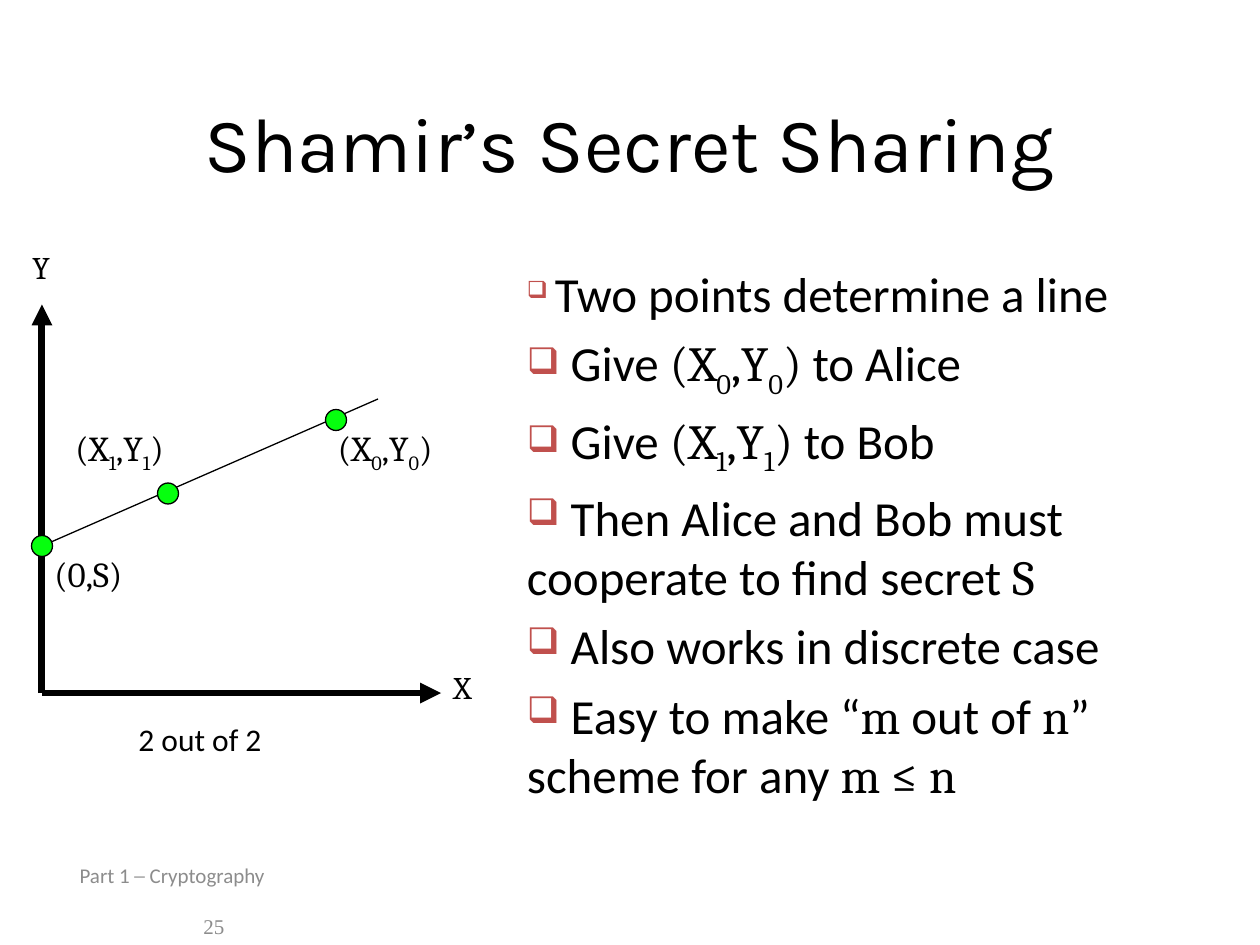
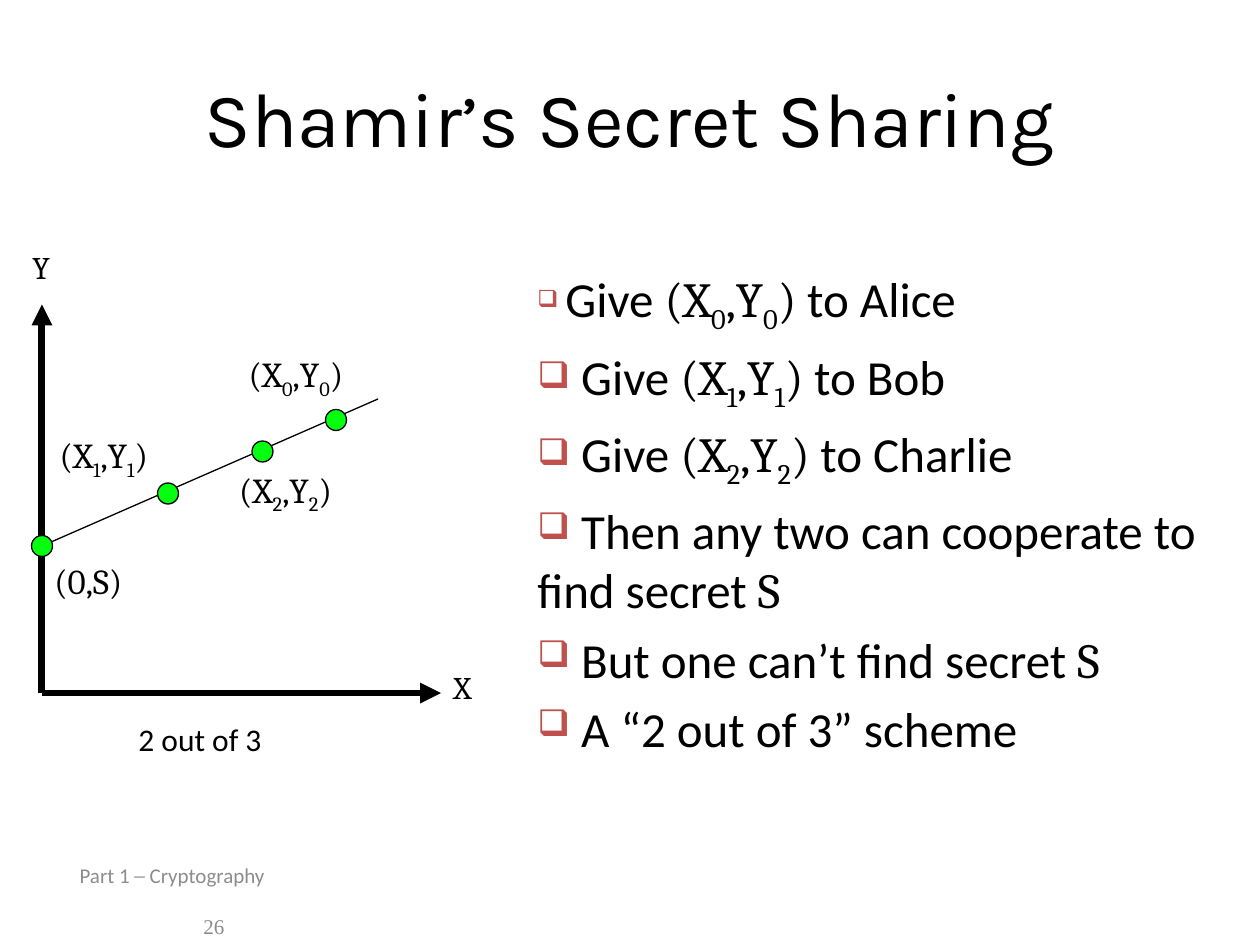
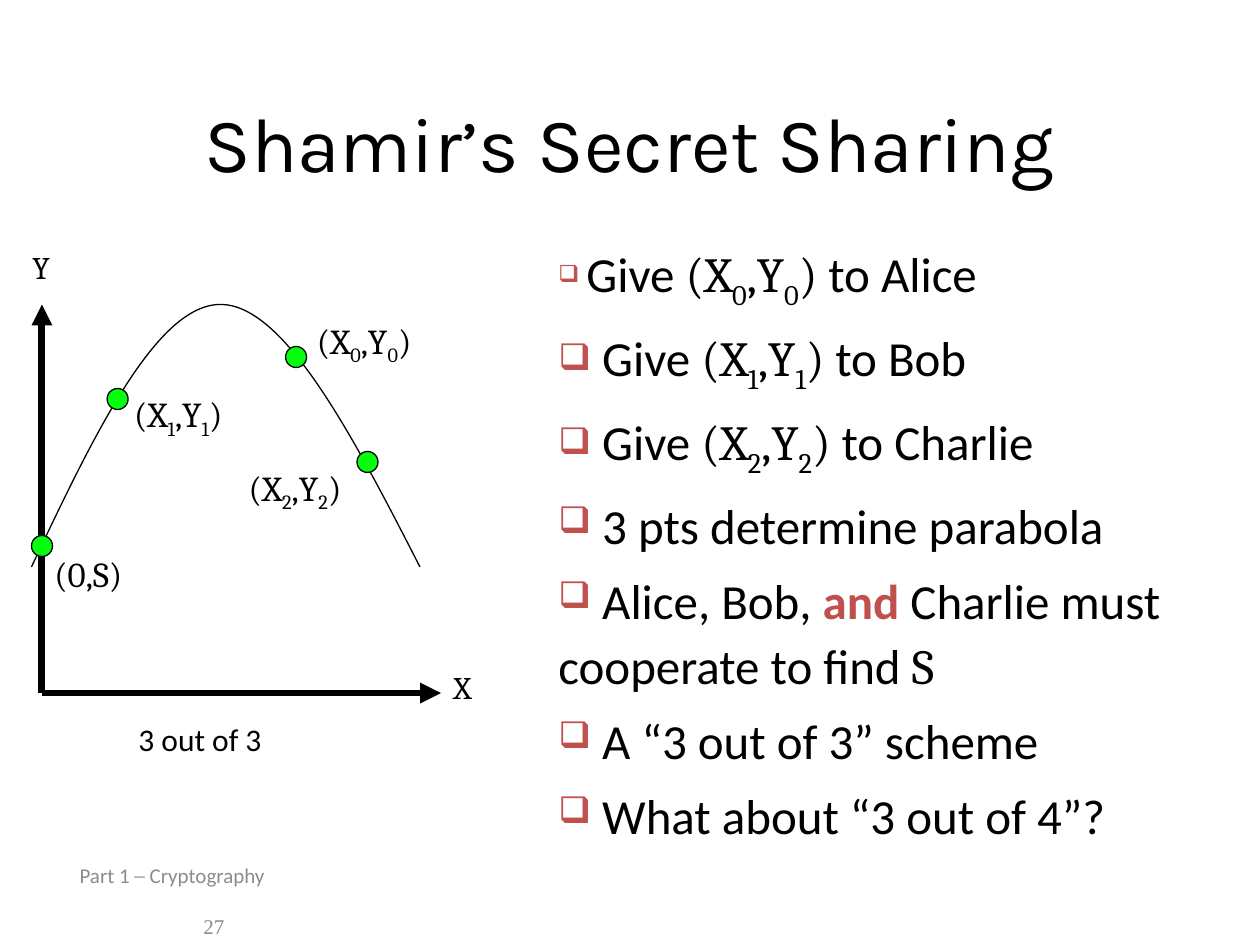
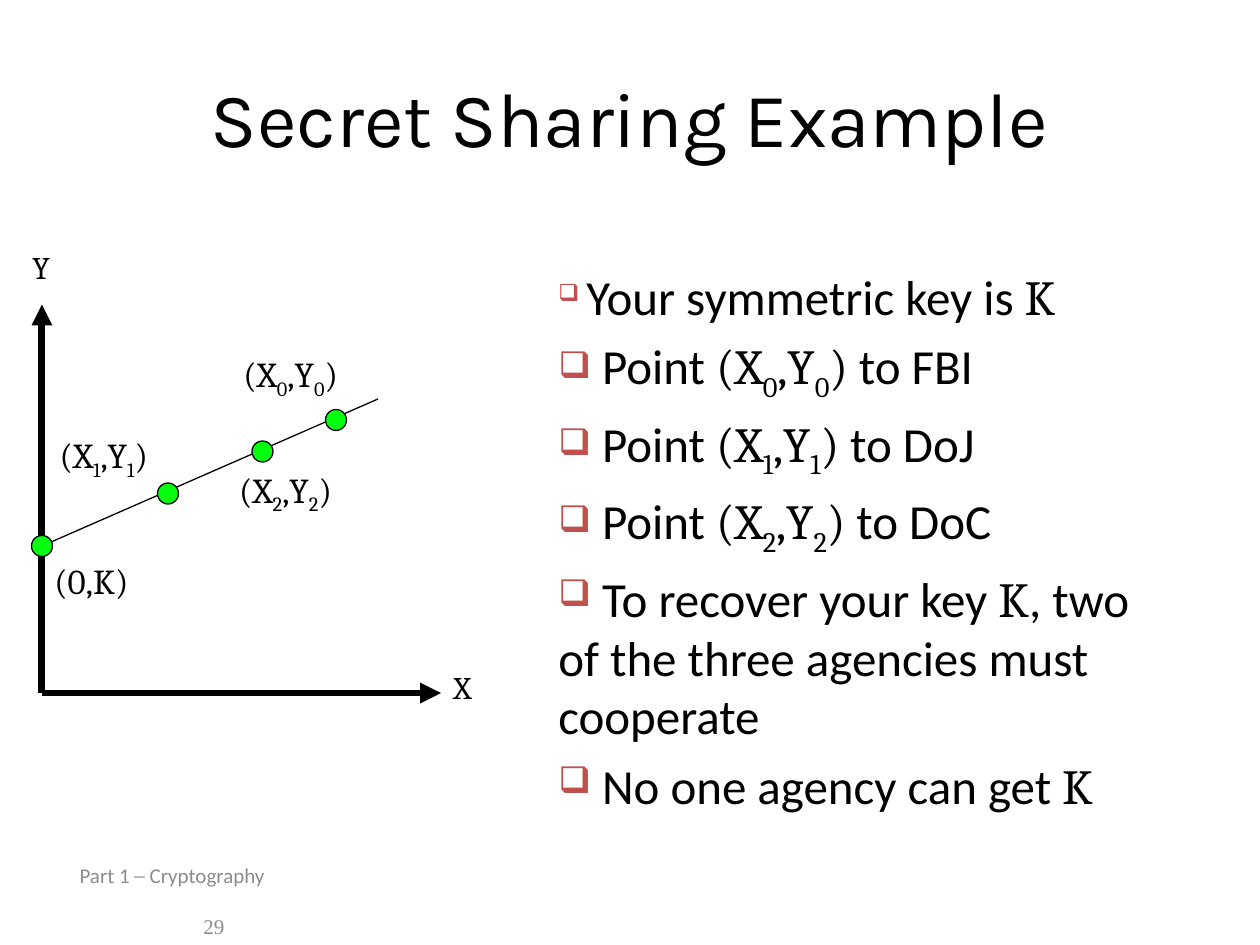
from lxml.etree import SubElement
from pptx import Presentation
from pptx.dml.color import RGBColor
from pptx.enum.shapes import MSO_CONNECTOR, MSO_SHAPE
from pptx.enum.text import MSO_ANCHOR, MSO_AUTO_SIZE, PP_ALIGN
from pptx.oxml.ns import qn
from pptx.util import Inches, Pt

COLS, ROWS = 120, 90
SLIDE_W, SLIDE_H = Inches(10), Inches(7.5)
BLACK, GREY, RED, GREEN = "000000", "8C8C8C", "C0504D", "06FF0E"
SANS, MATH, TITLE, SERIF = "Calibri", "Cambria", "Karla", "Times New Roman"

FOOTER_BOX = (6, 83.4, 28, 4.8)
PLOT_BOX = (4, 29, 38, 37)
HIGH_TITLE, LOW_TITLE = (6, 3.6, 108, 15), (9, 6, 102, 15)
DOT = 2

SECRET_DOT = (0, 14)
LINE = [(0, 14), (32, 28)]
PARABOLA = [(-1, 12), (4.9, 24.5), (10.9, 37), (17, 37),
            (23.1, 37), (29.6, 24.5), (36, 12)]
TWO_DOTS = [SECRET_DOT, (12, 19), (28, 26)]
THREE_DOTS = TWO_DOTS + [(21, 23)]
PARABOLA_DOTS = [SECRET_DOT, (7.2, 28), (24.2, 32), (31, 22)]


def x(cols):
    return round(SLIDE_W * cols / COLS)


def y(rows):
    return round(SLIDE_H * rows / ROWS)


def rgb(value):
    return RGBColor.from_string(value)


def sans(text, size=28):
    return text, dict(font=SANS, size=size)


def math(text, size=28):
    return text, dict(font=MATH, size=size)


def strong(text):
    return text, dict(font=SANS, size=28, color=RED, bold=True)


def share(index, size=28):
    sub = (index, dict(font=MATH, size=size, sub=True))
    return [math("(X", size), sub, math(",Y", size), sub, math(")", size)]


def handout(verb, index, person):
    return [sans(f" {verb} "), *share(index), math(" "), sans(f"to {person}")]


def first(*runs):
    head, *rest = runs
    return [sans(" ", 18), (head[0].lstrip(), head[1]), *rest]


def add_run(p, text, font, size, color=BLACK, bold=False, sub=False):
    r = p.add_run()
    r.text = text
    r.font.name = font
    r.font.size = Pt(size)
    r.font.bold = bold
    r.font.color.rgb = rgb(color)
    if sub:
        r._r.get_or_add_rPr().set("baseline", "-25000")


def add_text(s, box, paragraphs, wrap=True, grow=True):
    left, top, width, height = box
    tf = s.shapes.add_textbox(x(left), y(top), x(width), y(height)).text_frame
    tf.word_wrap = wrap
    tf.auto_size = MSO_AUTO_SIZE.SHAPE_TO_FIT_TEXT if grow else MSO_AUTO_SIZE.NONE
    for i, runs in enumerate(paragraphs):
        p = tf.add_paragraph() if i else tf.paragraphs[0]
        for text, style in runs:
            add_run(p, text, **style)
    return tf


def add_bullet(p):
    pPr = p._p.get_or_add_pPr()
    pPr.set("marL", "0")
    pPr.set("indent", "0")
    SubElement(SubElement(pPr, qn("a:buClr")), qn("a:srgbClr"), val=RED)
    SubElement(pPr, qn("a:buSzPct"), val="75000")
    SubElement(pPr, qn("a:buChar"), char="❑")


def add_title(s, box, text):
    style = dict(font=TITLE, size=44)
    tf = add_text(s, box, [[(text, style)]], grow=False)
    tf.vertical_anchor = MSO_ANCHOR.MIDDLE
    tf.paragraphs[0].alignment = PP_ALIGN.CENTER


def add_footer(s, box, number):
    lines = [("Part 1 ─ Cryptography", SANS), (str(number), SERIF)]
    tf = add_text(s, box, [[(text, dict(font=font, size=12, color=GREY))]
                           for text, font in lines], grow=False)
    tf.vertical_anchor = MSO_ANCHOR.MIDDLE
    for p, indent in zip(tf.paragraphs, (0.4, 12.2)):
        p._p.get_or_add_pPr().set("marL", str(x(indent)))
    tf.paragraphs[1].space_before = Pt(14.5)


def add_body(s, box, paragraphs, spacing=None):
    tf = add_text(s, box, paragraphs)
    for p in tf.paragraphs:
        p.space_after = Pt(6)
        if spacing:
            p.line_spacing = spacing
        add_bullet(p)


def add_line(s, start, end, width, arrow=False):
    c = s.shapes.add_connector(MSO_CONNECTOR.STRAIGHT, *start, *end)
    c.line.color.rgb = rgb(BLACK)
    c.line.width = Pt(width)
    if arrow:
        SubElement(c.line._get_or_add_ln(), qn("a:tailEnd"), type="triangle")
    SubElement(c._element.spPr, qn("a:effectLst"))


def add_curve(s, points):
    fb = s.shapes.build_freeform(*points[0])
    fb.add_line_segments(points[1:], close=False)
    sp = fb.convert_to_shape()
    sp.shadow.inherit = False
    sp.fill.background()
    sp.line.color.rgb = rgb(BLACK)
    sp.line.width = Pt(0.75)
    outline = sp._element.xpath(".//a:path")[0]
    segments = outline.findall(qn("a:lnTo"))
    for i in range(0, len(segments), 3):
        bezier = SubElement(outline, qn("a:cubicBezTo"))
        for segment in segments[i:i + 3]:
            bezier.append(segment[0])
            outline.remove(segment)


def add_dot(s, centre):
    cx, cy = centre
    sp = s.shapes.add_shape(MSO_SHAPE.OVAL, cx - x(DOT / 2), cy - y(DOT / 2),
                            x(DOT), y(DOT))
    sp.shadow.inherit = False
    sp.fill.solid()
    sp.fill.fore_color.rgb = rgb(GREEN)
    sp.line.color.rgb = rgb(BLACK)
    sp.line.width = Pt(0.75)


def add_plot(s, box, curve, dots, secret, labels, caption):
    left, top, width, height = box

    def at(point):
        return x(left + point[0]), y(top + height - point[1])

    def add_label(point, size, runs):
        add_text(s, (left + point[0], top + height - point[1], *size),
                 [runs], wrap=False)

    for end in ((width, 0), (0, height)):
        add_line(s, at((0, 0)), at(end), 4, arrow=True)
    if len(curve) == 2:
        add_line(s, at(curve[0]), at(curve[1]), 0.75)
    else:
        add_curve(s, [at(point) for point in curve])
    for dot in dots:
        add_dot(s, at(dot))

    add_label((width, 3), (5, 6), [math("X", 18)])
    add_label((-2.1, height + 6), (5, 6), [math("Y", 18)])
    name, point = secret
    add_label(point, (9.6, 5.2), [math(f"(0,{name})", 20)])
    for index, point in enumerate(labels):
        add_label(point, (12.4, 5.2), share(str(index), 20))
    if caption:
        add_label((8, -2), (21.1, 6.8), [sans(caption, 18)])


def add_scheme_slide(prs, number, title, title_box, body, body_box, curve, dots,
                     secret, labels, caption=None, spacing=None):
    s = prs.slides.add_slide(prs.slide_layouts[6])
    add_footer(s, FOOTER_BOX, number)
    add_title(s, title_box, title)
    add_plot(s, PLOT_BOX, curve, dots, secret, labels, caption)
    add_body(s, body_box, body, spacing)


def main():
    prs = Presentation()
    prs.slide_width, prs.slide_height = SLIDE_W, SLIDE_H
    shamir = "Shamir’s Secret Sharing"
    to_alice = first(*handout("Give", "0", "Alice"))
    to_bob = handout("Give", "1", "Bob")
    to_charlie = handout("Give", "2", "Charlie")

    add_scheme_slide(
        prs, 25, shamir, LOW_TITLE,
        [first(sans("Two points determine a line")),
         handout("Give", "0", "Alice"),
         to_bob,
         [sans(" Then Alice and Bob must cooperate to find secret "), math("S")],
         [sans(" Also works in discrete case")],
         [sans(" Easy to make “"), math("m"), sans(" out of "), math("n"),
          sans("” scheme for any "), math("m ≤ n")]],
        (49, 24.5, 69, 51.5), LINE, TWO_DOTS, ("S", (0, 14)),
        [(27, 26), (2, 26)], "2 out of 2")

    add_scheme_slide(
        prs, 26, shamir, HIGH_TITLE,
        [to_alice, to_bob, to_charlie,
         [sans(" Then any two can cooperate to find secret "), math("S")],
         [sans(" But one can’t find secret "), math("S")],
         [sans(" A “2 out of 3” scheme")]],
        (50, 25, 68, 45.8), LINE, THREE_DOTS, ("S", (0, 13.3)),
        [(18.5, 33), (0.5, 25.3), (17.6, 22)], "2 out of 3")

    add_scheme_slide(
        prs, 27, shamir, LOW_TITLE,
        [to_alice, to_bob, to_charlie,
         [sans(" 3 pts determine parabola")],
         [sans(" Alice, Bob, "), strong("and"),
          sans(" Charlie must cooperate to find "), math("S")],
         [sans(" A “3 out of 3” scheme")],
         [sans(" What about “3 out of 4”?")]],
        (52, 22, 62, 56.9), PARABOLA, PARABOLA_DOTS, ("S", (0, 14)),
        [(25, 36.2), (7.6, 29.2), (18.5, 22.2)], "3 out of 3", spacing=1.1)

    agencies = [handout("Point", str(i), agency)
                for i, agency in enumerate(("FBI", "DoJ", "DoC"))]
    add_scheme_slide(
        prs, 29, "Secret Sharing Example", HIGH_TITLE,
        [first(sans("Your symmetric key is "), math("K")),
         *agencies,
         [sans(" To recover your key "), math("K"),
          sans(", two of the three agencies must cooperate")],
         [sans(" No one agency can get "), math("K")]],
        (52, 24.8, 61, 53.2), LINE, THREE_DOTS, ("K", (0, 13.3)),
        [(18, 33), (0.5, 25.3), (17.6, 22)])

    prs.save("out.pptx")


if __name__ == "__main__":
    main()
